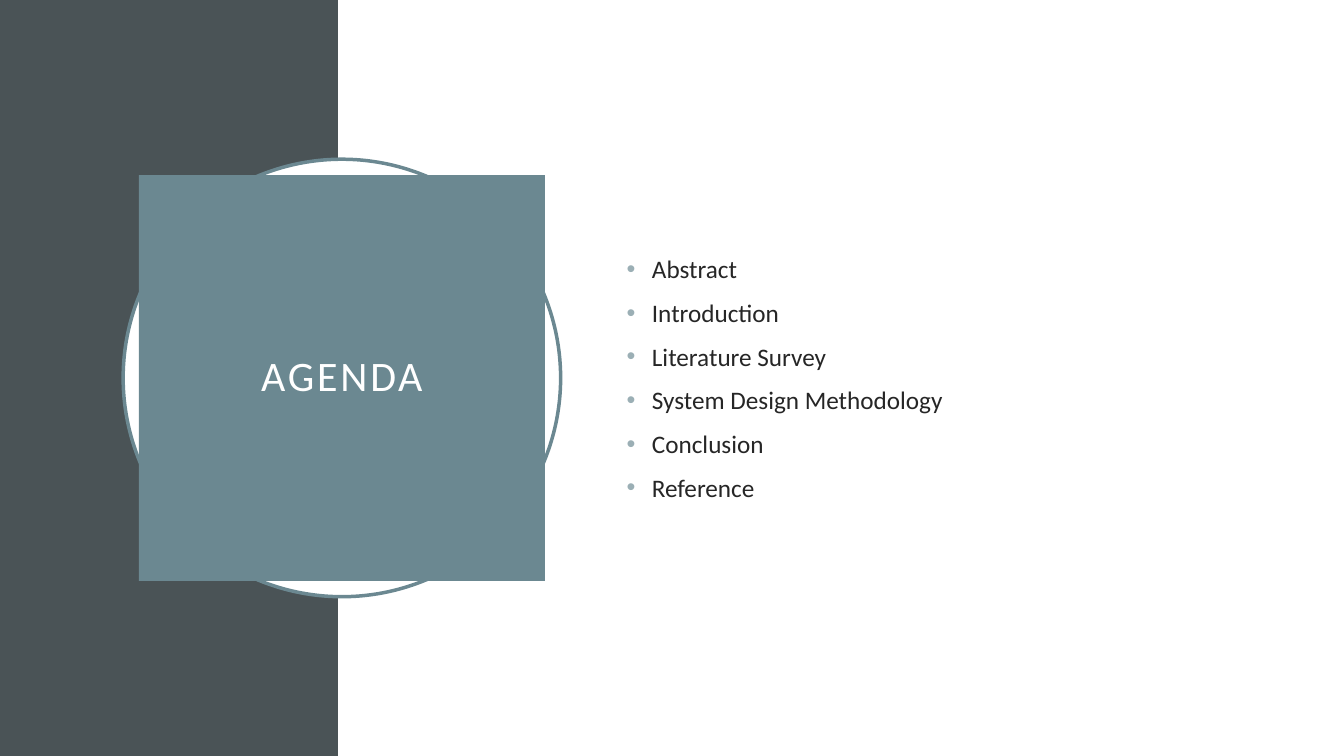
from dataclasses import dataclass

from lxml import etree
from pptx import Presentation
from pptx.dml.color import RGBColor
from pptx.enum import shapes, text
from pptx.oxml import ns
from pptx.util import Pt


@dataclass(frozen=True)
class Theme:
    font: str = "Calibri"
    dark: str = "4A5356"
    teal: str = "6B8891"
    pale: str = "9BAFB5"
    ink: str = "262626"
    white: str = "FFFFFF"
    head: int = 30
    body: int = 18
    rim: float = 2.5


THEME = Theme()
WIDE, HIGH = 960, 540
ITEMS = ["Abstract", "Introduction", "Literature Survey",
         "System Design Methodology", "Conclusion", "Reference"]


def draw(slide, kind, box, fill, line=None):
    """Add a flat preset shape."""
    shape = slide.shapes.add_shape(kind, *map(Pt, box))
    shape.shadow.inherit = False
    shape.fill.solid()
    shape.fill.fore_color.rgb = RGBColor.from_string(fill)
    if line:
        shape.line.color.rgb = RGBColor.from_string(line)
        shape.line.width = Pt(THEME.rim)
    else:
        shape.line.fill.background()
    return shape


def mark(par, indent, color):
    """Give a paragraph a hanging, coloured bullet."""
    props = par._p.get_or_add_pPr()
    props.set("marL", str(Pt(indent)))
    props.set("indent", str(-Pt(indent)))
    tint = etree.SubElement(props, ns.qn("a:buClr"))
    etree.SubElement(tint, ns.qn("a:srgbClr"), val=color)
    etree.SubElement(props, ns.qn("a:buFont"), typeface="Arial")
    etree.SubElement(props, ns.qn("a:buChar"), char="•")


def write(shape, lines, size, color, align=text.PP_ALIGN.LEFT,
          before=0, leading=None, track=0, bullet=None):
    """Fill a shape with one paragraph for each line."""
    frame = shape.text_frame
    frame.word_wrap = True
    frame.vertical_anchor = text.MSO_ANCHOR.MIDDLE
    for i, line in enumerate(lines):
        par = frame.add_paragraph() if i else frame.paragraphs[0]
        par.alignment = align
        par.space_before = Pt(before)
        if leading:
            par.line_spacing = leading
        if bullet:
            mark(par, 18, bullet)
        run = par.add_run()
        run.text = line
        run.font.name = THEME.font
        run.font.size = Pt(size)
        run.font.color.rgb = RGBColor.from_string(color)
        if track:
            run.font._element.set("spc", str(track * 100))


def back(slide, box, split):
    """Dark band on the left, white panel on the right."""
    x, y, w, h = box
    kind = shapes.MSO_SHAPE.RECTANGLE
    draw(slide, kind, (x, y, split, h), THEME.dark)
    draw(slide, kind, (x + split, y, w - split, h), THEME.white)


def badge(slide, box, title):
    """Ringed disc with the title square centred on it."""
    x, y, w, h = box
    draw(slide, shapes.MSO_SHAPE.OVAL, box, THEME.white, THEME.teal)
    gap = 11.25
    tile = draw(slide, shapes.MSO_SHAPE.RECTANGLE,
                (x + gap, y + gap, w - 2 * gap, h - 2 * gap), THEME.teal)
    write(tile, [title], THEME.head, THEME.white,
          align=text.PP_ALIGN.CENTER, leading=0.9, track=2)


def agenda(slide, box, items):
    """Bulleted list of topics, centred in height."""
    area = slide.shapes.add_textbox(*map(Pt, box))
    write(area, items, THEME.body, THEME.ink, before=9.6, bullet=THEME.pale)


def main():
    deck = Presentation()
    deck.slide_width, deck.slide_height = Pt(WIDE), Pt(HIGH)
    slide = deck.slides.add_slide(deck.slide_layouts[6])
    back(slide, (0, 0, WIDE, HIGH), 241.6)
    badge(slide, (88, 113.75, 312.5, 312.5), "AGENDA")
    agenda(slide, (440.6, 110.5, 419, 319), ITEMS)
    deck.save("out.pptx")


if __name__ == "__main__":
    main()
